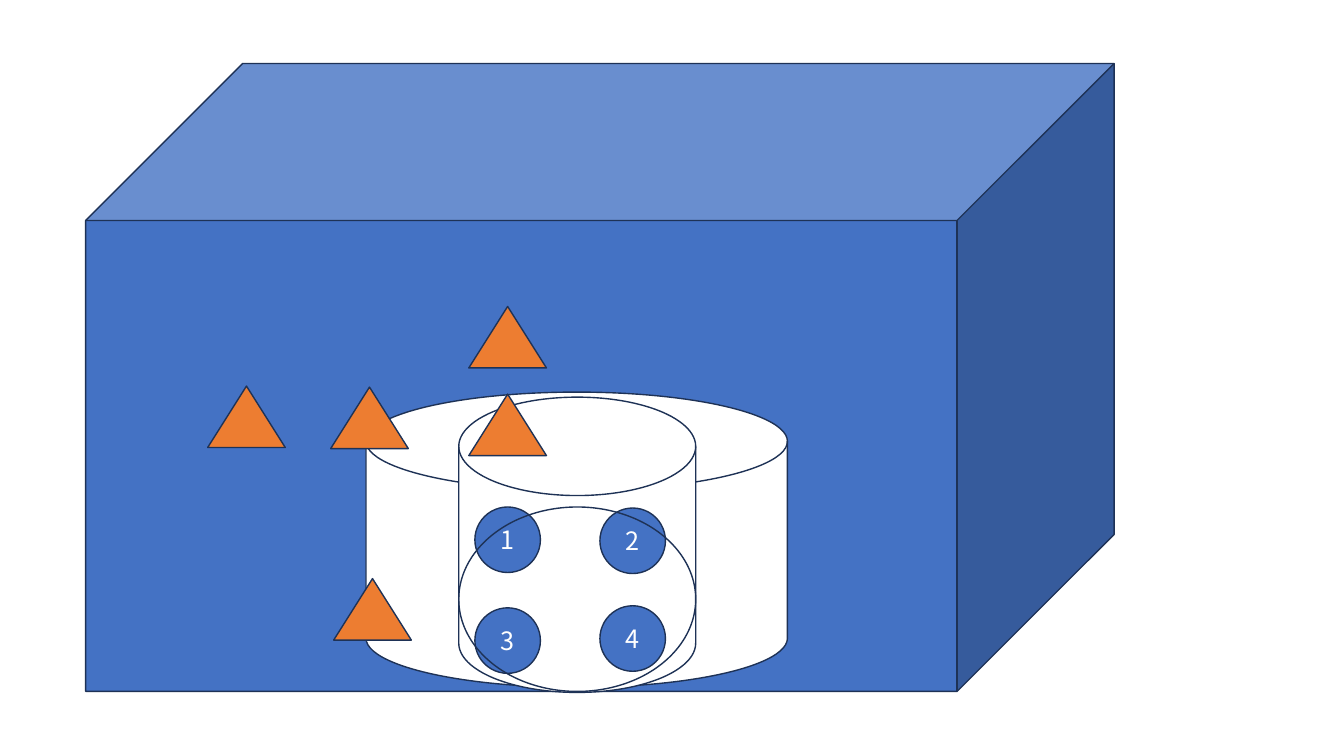
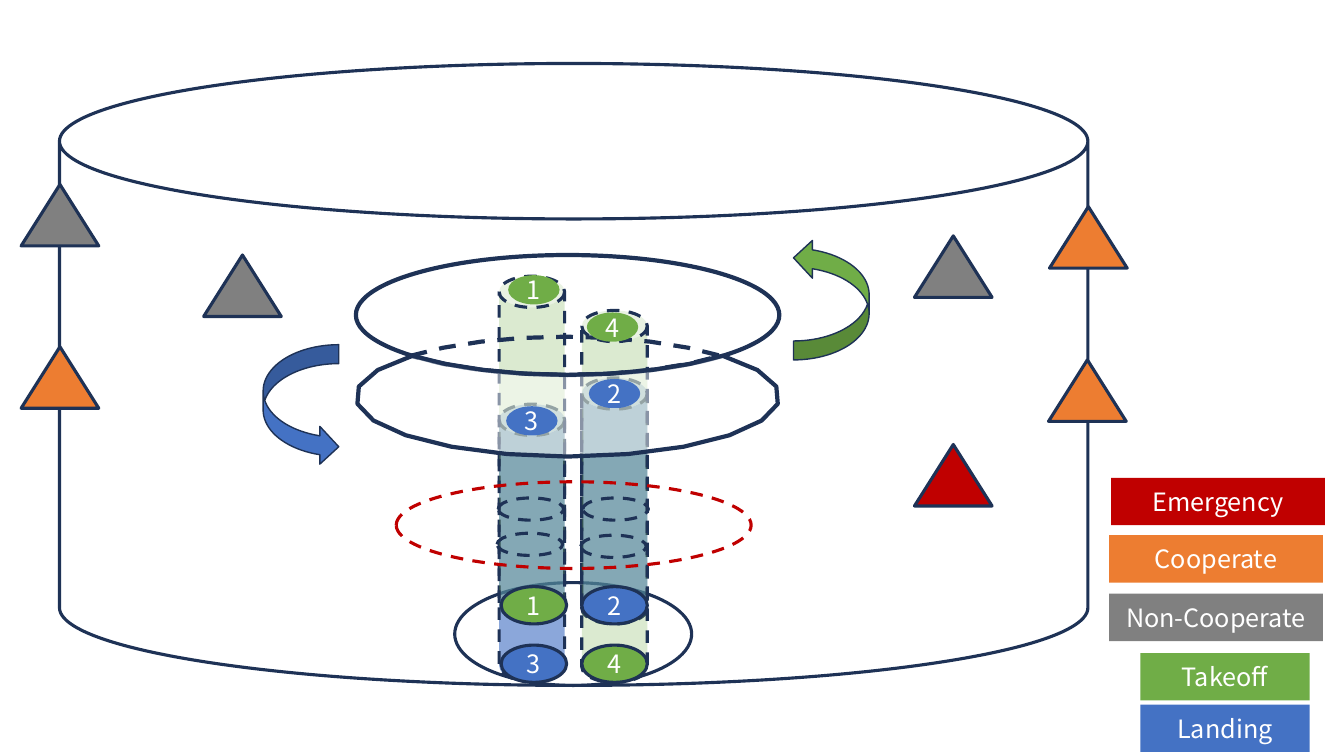
from math import asin, cos, pi, sin

from lxml.etree import SubElement
from pptx import Presentation
from pptx.dml.color import RGBColor
from pptx.enum.dml import MSO_LINE_DASH_STYLE as Dash
from pptx.enum.shapes import MSO_SHAPE as Shape
from pptx.enum.text import MSO_ANCHOR as Anchor, PP_ALIGN as Align
from pptx.oxml.ns import qn
from pptx.util import Inches, Pt

BLUE = RGBColor(0x44, 0x72, 0xC4)
ORANGE = RGBColor(0xED, 0x7D, 0x31)
GREEN = RGBColor(0x70, 0xAD, 0x47)
GRAY = RGBColor(0x80, 0x80, 0x80)
RED = RGBColor(0xC0, 0x00, 0x00)
NAVY = RGBColor(0x1E, 0x32, 0x56)
WHITE = RGBColor(0xFF, 0xFF, 0xFF)
FONT = "Noto Sans CJK SC"

RING_LEFT, RING_TOP, RING_WIDTH, RING_HEIGHT = 3.53, 2.53, 4.2, 1.19
RING_GAP = 0.81


def write(shape, text, size=18, color=WHITE, align=Align.CENTER):
    """Put one formatted line of text in the middle of a shape."""
    frame = shape.text_frame
    frame.margin_left = frame.margin_right = 0
    frame.margin_top = frame.margin_bottom = 0
    frame.vertical_anchor = Anchor.MIDDLE
    paragraph = frame.paragraphs[0]
    paragraph.alignment = align
    run = paragraph.add_run()
    run.text = text
    run.font.name = FONT
    run.font.size = Pt(size)
    run.font.color.rgb = color


def ring_arc(left, top, start, end, steps=8):
    """Return points along a ring from one angle up to the next arc."""
    radius_x, radius_y = RING_WIDTH / 2, RING_HEIGHT / 2
    angles = [start + (end - start) * step / steps for step in range(steps)]
    return [(left + radius_x * (1 + cos(angle)), top + radius_y * (1 + sin(angle)))
            for angle in angles]


class Diagram:
    """Hold the shared style and the slide being drawn."""

    def __init__(self):
        """Start a widescreen presentation."""
        self.deck = Presentation()
        self.deck.slide_width = Inches(13.33)
        self.deck.slide_height = Inches(7.5)
        self.slide = None
        self.weight = 1

    def new_slide(self, weight):
        """Add a blank slide with a default outline weight."""
        self.slide = self.deck.slides.add_slide(self.deck.slide_layouts[6])
        self.weight = weight

    def style(self, shape, fill=None, alpha=None, line=NAVY, weight=None, dash=False):
        """Set the fill and outline of a shape."""
        shape.shadow.inherit = False
        if fill is None:
            shape.fill.background()
        else:
            shape.fill.solid()
            shape.fill.fore_color.rgb = fill
        if alpha is not None:
            color = next(shape._element.spPr.iter(qn("a:srgbClr")))
            SubElement(color, qn("a:alpha")).set("val", str(alpha * 1000))
        if line is None:
            shape.line.fill.background()
        else:
            shape.line.color.rgb = line
            shape.line.width = Pt(weight or self.weight)
            if dash:
                shape.line.dash_style = Dash.DASH

    def preset(self, kind, left, top, width, height, text=None, **look):
        """Add a preset shape, with text if given."""
        shape = self.slide.shapes.add_shape(
            kind, Inches(left), Inches(top), Inches(width), Inches(height))
        self.style(shape, **look)
        if text:
            write(shape, text)
        return shape

    def outline(self, points, **look):
        """Add a closed outline through the points."""
        corners = [(Inches(x), Inches(y)) for x, y in points]
        builder = self.slide.shapes.build_freeform(*corners[0])
        builder.add_line_segments(corners[1:], close=True)
        self.style(builder.convert_to_shape(), **look)

    def ellipse(self, left, top, width, height, text=None, **look):
        """Add an ellipse."""
        self.preset(Shape.OVAL, left, top, width, height, text, **look)

    def aircraft(self, left, top, fill=ORANGE):
        """Add a triangle that stands for an aircraft."""
        self.preset(Shape.ISOSCELES_TRIANGLE, left, top, 0.77, 0.61, fill=fill)

    def column(self, left, top, height, fill, alpha):
        """Add a see-through flight column."""
        can = self.preset(Shape.CAN, left, top, 0.65, height,
                          fill=fill, alpha=alpha, dash=True)
        can.adjustments[0] = 0.477

    def turn(self, left, top, fill, rotation=0):
        """Add a curved arrow for the direction of flight."""
        arrow = self.preset(Shape.CURVED_RIGHT_ARROW, left, top, 0.75, 1.2,
                            fill=fill, weight=1)
        arrow.rotation = rotation

    def legend(self, left, top, width, text, fill):
        """Add a legend box."""
        self.preset(Shape.RECTANGLE, left, top, width, 0.47, text,
                    fill=fill, line=None)


def draw_box_airspace(diagram):
    """Draw the box airspace with its four pads."""
    diagram.new_slide(weight=1)
    diagram.preset(Shape.CUBE, 0.85, 0.63, 10.2, 6.23, fill=BLUE)
    for left, top, width in ((3.63, 3.89, 4.18), (4.55, 3.94, 2.35)):
        diagram.preset(Shape.FLOWCHART_MAGNETIC_DISK, left, top, width, 2.93, fill=WHITE)
    for pad, left, top in (("4", 5.95, 6.01), ("3", 4.71, 6.03),
                           ("1", 4.71, 5.03), ("2", 5.95, 5.04)):
        diagram.ellipse(left, top, 0.65, 0.65, pad, fill=BLUE)
    diagram.ellipse(4.55, 5.03, 2.35, 1.83)
    for left, top in ((4.65, 3.91), (2.06, 3.83), (3.28, 3.84),
                      (4.65, 3.04), (3.31, 5.74)):
        diagram.aircraft(left, top)


def draw_hidden_edge(diagram):
    """Draw the dashed overlap of the two rings."""
    meet = asin(RING_GAP / RING_HEIGHT)
    left = RING_LEFT - 0.02
    overlap = (ring_arc(left, RING_TOP + RING_GAP, pi + meet, 2 * pi - meet)
               + ring_arc(left, RING_TOP, meet, pi - meet))
    diagram.outline(overlap, weight=3, dash=True)


def draw_lower_ring(diagram):
    """Draw the part of the lower ring that the upper one leaves free."""
    meet = asin(RING_GAP / RING_HEIGHT)
    crescent = (ring_arc(RING_LEFT, RING_TOP, meet, pi - meet)
                + ring_arc(RING_LEFT, RING_TOP + RING_GAP, pi + meet, -meet, steps=16))
    diagram.outline(crescent, fill=WHITE, alpha=48, weight=3)


def draw_round_airspace(diagram):
    """Draw the round airspace with its columns, rings and legend."""
    diagram.new_slide(weight=2.25)
    diagram.preset(Shape.CAN, 0.59, 0.63, 10.2, 6.17)
    diagram.ellipse(4.51, 5.78, 2.35, 1.02)
    for left, top, fill in (
            (10.4, 3.57, ORANGE), (0.21, 3.44, ORANGE), (2.02, 2.53, GRAY),
            (10.41, 2.05, ORANGE), (0.21, 1.83, GRAY), (9.07, 2.34, GRAY),
            (9.07, 4.41, RED)):
        diagram.aircraft(left, top, fill)
    for left, top, height, fill, alpha in (
            (5.77, 3.75, 2.44, BLUE, 62), (4.95, 4.01, 2.75, BLUE, 62),
            (4.95, 2.74, 3.41, GREEN, 25), (5.77, 3.08, 3.69, GREEN, 25)):
        diagram.column(left, top, height, fill, alpha)
    diagram.turn(2.61, 3.42, BLUE)
    for pad, left, top, fill in (("4", 5.77, 6.4, GREEN), ("3", 4.97, 6.4, BLUE),
                                 ("1", 4.97, 5.82, GREEN), ("2", 5.77, 5.82, BLUE)):
        diagram.ellipse(left, top, 0.65, 0.37, pad, fill=fill)
    diagram.turn(7.87, 2.37, GREEN, rotation=180)
    for left, top in ((5.78, 4.94), (4.94, 4.94), (5.76, 5.31), (4.93, 5.29)):
        diagram.ellipse(left, top, 0.65, 0.22, dash=True)
    draw_hidden_edge(diagram)
    diagram.ellipse(RING_LEFT, RING_TOP, RING_WIDTH, RING_HEIGHT, weight=3)
    diagram.ellipse(3.93, 4.78, 3.52, 0.86, line=RED, dash=True)
    draw_lower_ring(diagram)
    for pad, left, top, fill in (("3", 5.02, 4.03, BLUE), ("2", 5.84, 3.76, BLUE),
                                 ("4", 5.82, 3.1, GREEN), ("1", 5.04, 2.73, GREEN)):
        diagram.ellipse(left, top, 0.51, 0.29, pad, fill=fill, line=None)
    for text, left, top, width, fill in (
            ("Emergency", 11.02, 4.74, 2.12, RED),
            ("Cooperate", 11, 5.31, 2.12, ORANGE),
            ("Non-Cooperate", 11, 5.89, 2.12, GRAY),
            ("Takeoff", 11.31, 6.48, 1.68, GREEN),
            ("Landing", 11.31, 6.99, 1.68, BLUE)):
        diagram.legend(left, top, width, text, fill)


def main():
    """Build and save both slides."""
    diagram = Diagram()
    draw_box_airspace(diagram)
    draw_round_airspace(diagram)
    diagram.deck.save("out.pptx")


if __name__ == "__main__":
    main()
